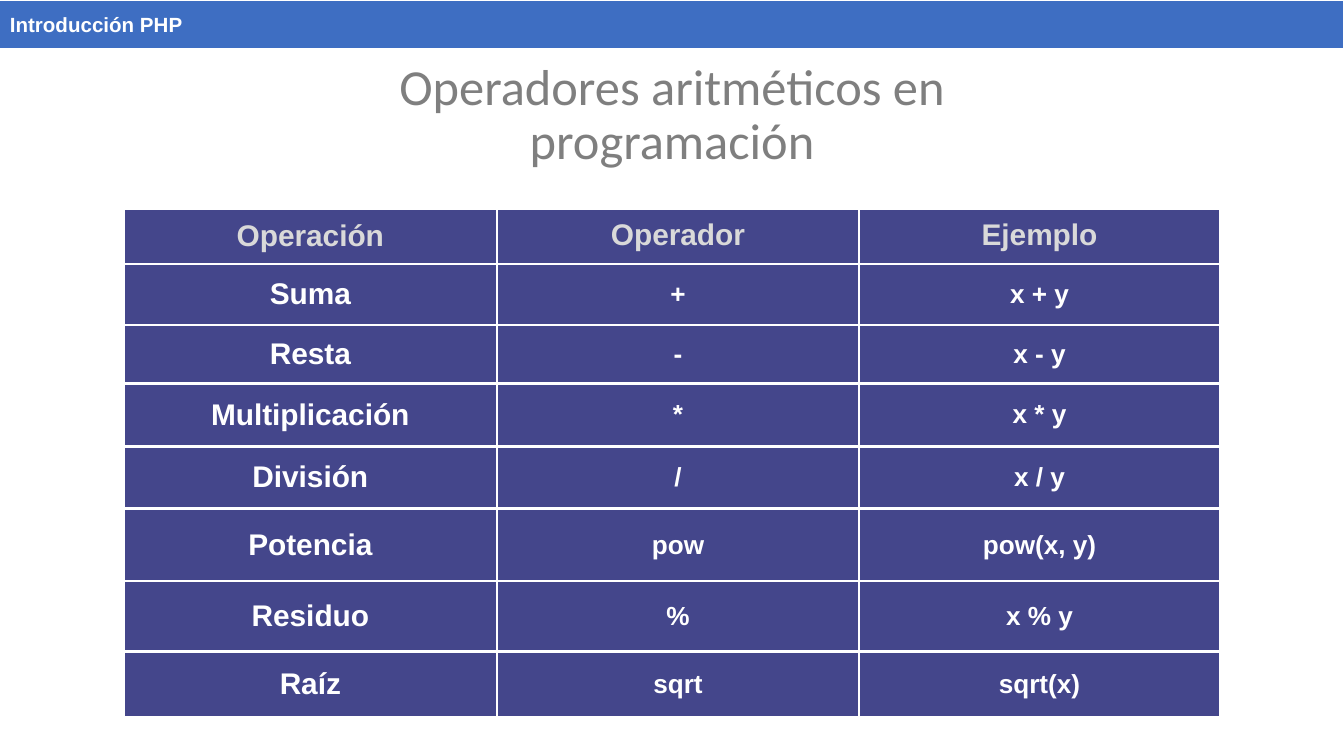
"""Build a slide with a table of arithmetic operators in PHP."""
from lxml.etree import SubElement
from pptx import Presentation
from pptx.dml.color import RGBColor
from pptx.enum.shapes import MSO_SHAPE as Shape
from pptx.enum.text import MSO_ANCHOR as Anchor, MSO_AUTO_SIZE as AutoSize, PP_ALIGN as Align
from pptx.oxml.ns import qn
from pptx.util import Pt

WHITE = RGBColor(0xFF, 0xFF, 0xFF)
BLUE = RGBColor(0x3E, 0x6E, 0xC2)
INDIGO = RGBColor(0x44, 0x46, 0x8B)
GRAY = RGBColor(0x7F, 0x7F, 0x7F)
SILVER = RGBColor(0xD9, 0xD9, 0xD9)

COLUMN_WIDTHS = (200.2, 193.7, 193.7)
ROW_HEIGHTS = (29.7, 32.4, 31.4, 33.8, 33.4, 38.9, 37.6, 35.5)
OPERATIONS = (
    ("Operación", "Operador", "Ejemplo"),
    ("Suma", "+", "x + y"),
    ("Resta", "-", "x - y"),
    ("Multiplicación", "*", "x * y"),
    ("División", "/", "x / y"),
    ("Potencia", "pow", "pow(x, y)"),
    ("Residuo", "%", "x % y"),
    ("Raíz", "sqrt", "sqrt(x)"),
)


def apply(target, values):
    """Set every attribute in values on target."""
    for name, value in values.items():
        setattr(target, name, value)


class OperatorSlide:
    """Hold the slide and its shared text style."""

    margins = dict(margin_left=Pt(5.3), margin_right=Pt(5.3), margin_top=Pt(2.65), margin_bottom=Pt(2.65))
    cell_margins = dict.fromkeys(margins, Pt(5.3))

    def __init__(self, slide):
        self.slide = slide

    def put_text(self, frame, text, size, color, name="Arial", bold=True, **paragraph_format):
        """Put one styled paragraph in a text frame."""
        paragraph = frame.paragraphs[0]
        paragraph.text = text
        apply(paragraph, paragraph_format)
        font = paragraph.runs[0].font
        apply(font, dict(size=Pt(size), name=name, bold=bold))
        font.color.rgb = color

    def band(self, left, top, width, height):
        """Draw the colored header band."""
        header = self.slide.shapes.add_shape(Shape.RECTANGLE, Pt(left), Pt(top), Pt(width), Pt(height))
        header.shadow.inherit = False
        header.fill.solid()
        header.fill.fore_color.rgb = BLUE
        header.line.color.rgb = WHITE
        header.line.width = Pt(0.75)

    def title(self, text, left, top, width, height):
        """Place and format the title placeholder."""
        heading = self.slide.shapes.title
        apply(heading, dict(left=Pt(left), top=Pt(top), width=Pt(width), height=Pt(height)))
        frame = heading.text_frame
        apply(frame, dict(self.margins, word_wrap=True, auto_size=AutoSize.NONE,
                          vertical_anchor=Anchor.MIDDLE))
        self.put_text(frame, text, 27, GRAY, "Calibri", False, alignment=Align.CENTER, line_spacing=0.9)

    def label(self, text, left, top, width, height):
        """Add the course name."""
        course = self.slide.shapes.add_textbox(Pt(left), Pt(top), Pt(width), Pt(height))
        apply(course.text_frame, dict(self.margins, word_wrap=True, auto_size=AutoSize.SHAPE_TO_FIT_TEXT))
        self.put_text(course.text_frame, text, 11, WHITE)

    def border(self, cell):
        """Give a cell white borders on all sides."""
        properties = cell._tc.get_or_add_tcPr()
        for side in ("lnL", "lnR", "lnT", "lnB"):
            edge = SubElement(properties, qn(f"a:{side}"), w=str(Pt(1.5)))
            fill = SubElement(edge, qn("a:solidFill"))
            SubElement(fill, qn("a:srgbClr"), val=str(WHITE))

    def table(self, rows, left, top):
        """Add the table of operators."""
        grid = self.slide.shapes.add_table(
            len(rows), len(COLUMN_WIDTHS), Pt(left), Pt(top),
            Pt(sum(COLUMN_WIDTHS)), Pt(sum(ROW_HEIGHTS))).table
        apply(grid, dict(first_row=False, horz_banding=False))
        for column, width in zip(grid.columns, COLUMN_WIDTHS):
            column.width = Pt(width)
        for row, height in zip(grid.rows, ROW_HEIGHTS):
            row.height = Pt(height)
        for r, texts in enumerate(rows):
            for c, text in enumerate(texts):
                cell = grid.cell(r, c)
                anchor = Anchor.TOP if r == 0 and c > 0 else Anchor.MIDDLE
                apply(cell, dict(self.cell_margins, vertical_anchor=anchor))
                self.border(cell)
                cell.fill.solid()
                cell.fill.fore_color.rgb = INDIGO
                size = 16 if r == 0 or c == 0 else 14
                self.put_text(cell.text_frame, text, size, SILVER if r == 0 else WHITE, alignment=Align.CENTER)


def main():
    """Build and save the presentation."""
    deck = Presentation()
    apply(deck, dict(slide_width=Pt(720), slide_height=Pt(405)))
    page = OperatorSlide(deck.slides.add_slide(deck.slide_layouts[5]))
    page.band(-3.6, 0, 723.6, 25.9)
    page.title("Operadores aritméticos en programación", 170, 38.2, 380, 48.2)
    page.label("Introducción PHP", 0, 3.6, 720, 18.7)
    page.table(OPERATIONS, 66.2, 111.8)
    deck.save("out.pptx")


if __name__ == "__main__":
    main()
